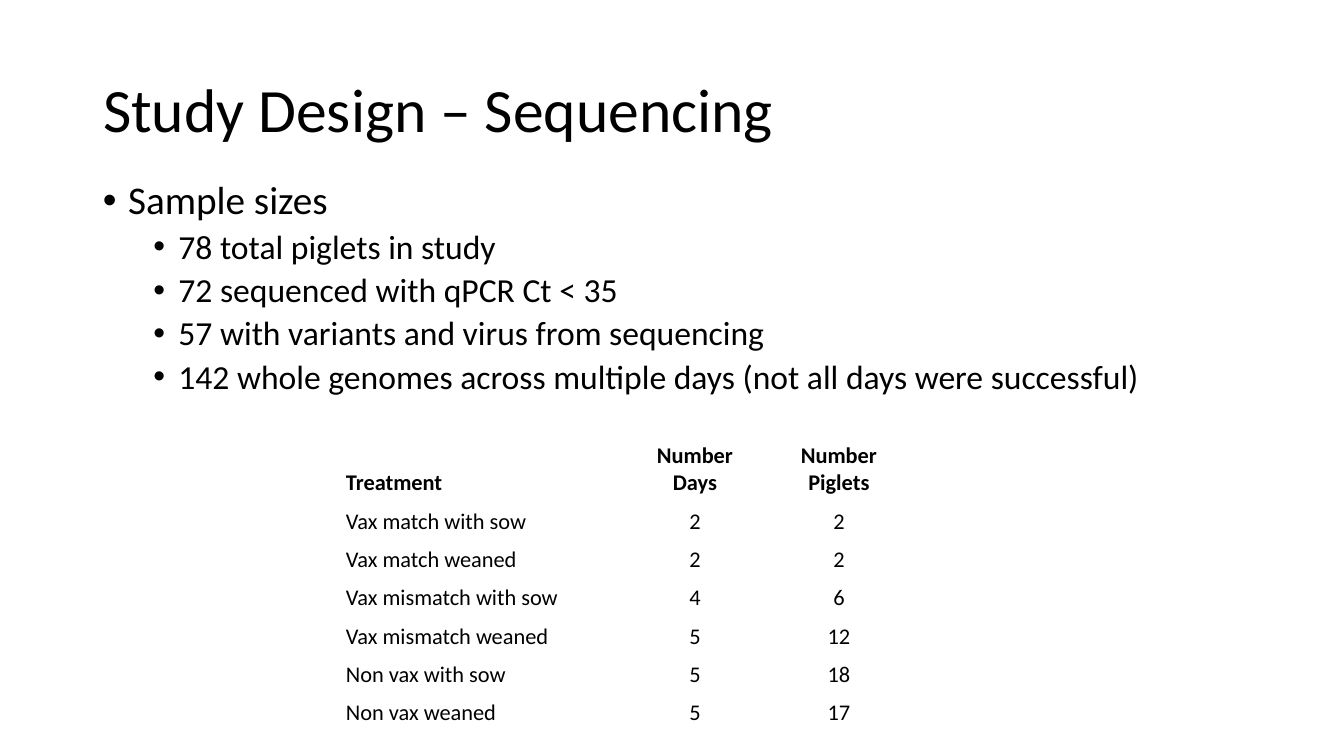
import dataclasses

import lxml.etree
import pptx
import pptx.dml.color
import pptx.enum.text
import pptx.oxml.ns
import pptx.util

PX_PER_INCH = 100.8
TITLE_ONLY = 5
ALIGN = pptx.enum.text.PP_ALIGN
ANCHOR = pptx.enum.text.MSO_ANCHOR


@dataclasses.dataclass(frozen=True)
class Theme:
    font: str = "Calibri"
    bullet_font: str = "Arial"
    ink: str = "000000"
    title_size: int = 44
    bullet_sizes: tuple = (28, 24)
    table_size: int = 16


def px(length):
    return pptx.util.Emu(round(length * 914400 / PX_PER_INCH))


def write_text(paragraph, text, *, theme, size, bold=False, align=ALIGN.LEFT,
               line_spacing=None, space_before=0):
    paragraph.alignment = align
    paragraph.space_before = pptx.util.Pt(space_before)
    if line_spacing:
        paragraph.line_spacing = line_spacing
    run = paragraph.add_run()
    run.text = text
    run.font.name = theme.font
    run.font.size = pptx.util.Pt(size)
    run.font.bold = bold
    run.font.color.rgb = pptx.dml.color.RGBColor.from_string(theme.ink)


def add_bullet(paragraph, level, font):
    paragraph.level = level
    properties = paragraph._p.get_or_add_pPr()
    properties.set("marL", str(pptx.util.Inches(0.25 + 0.5 * level)))
    properties.set("indent", str(pptx.util.Inches(-0.25)))
    for tag, attribute, value in (("a:buFont", "typeface", font), ("a:buChar", "char", "•")):
        mark = lxml.etree.SubElement(properties, pptx.oxml.ns.qn(tag))
        mark.set(attribute, value)


class SlideBuilder:
    def __init__(self, slide, theme):
        self.slide = slide
        self.theme = theme

    def title(self, text, left, top, width, height):
        heading = self.slide.shapes.title
        heading.left, heading.top = px(left), px(top)
        heading.width, heading.height = px(width), px(height)
        frame = heading.text_frame
        frame.auto_size = pptx.enum.text.MSO_AUTO_SIZE.NONE
        frame.vertical_anchor = ANCHOR.MIDDLE
        write_text(frame.paragraphs[0], text, theme=self.theme,
                   size=self.theme.title_size, line_spacing=0.9)

    def bullets(self, points, left, top, width, height):
        box = self.slide.shapes.add_textbox(px(left), px(top), px(width), px(height))
        frame = box.text_frame
        frame.word_wrap = True
        for index, (level, text) in enumerate(points):
            paragraph = frame.add_paragraph() if index else frame.paragraphs[0]
            add_bullet(paragraph, level, self.theme.bullet_font)
            write_text(paragraph, text, theme=self.theme, size=self.theme.bullet_sizes[level],
                       line_spacing=0.9, space_before=5 if index else 0)

    def table(self, rows, left, top, column_widths, header_height, height):
        grid = self.slide.shapes.add_table(
            len(rows), len(column_widths), px(left), px(top),
            px(sum(column_widths)), px(height)).table
        grid.horz_banding = False
        for column, width in zip(grid.columns, column_widths):
            column.width = px(width)
        row_height = px((height - header_height) / (len(rows) - 1))
        for row_index, values in enumerate(rows):
            grid.rows[row_index].height = row_height if row_index else px(header_height)
            for column_index, value in enumerate(values):
                self.cell(grid.cell(row_index, column_index), value, bold=row_index == 0,
                          align=ALIGN.CENTER if column_index else ALIGN.LEFT)

    def cell(self, cell, value, bold, align):
        cell.fill.background()
        cell.vertical_anchor = ANCHOR.BOTTOM
        cell.margin_left = cell.margin_right = cell.margin_top = px(1)
        cell.margin_bottom = 0
        for index, line in enumerate(str(value).split("\n")):
            paragraph = cell.text_frame.add_paragraph() if index else cell.text_frame.paragraphs[0]
            write_text(paragraph, line, theme=self.theme, size=self.theme.table_size,
                       bold=bold, align=align)


SAMPLE_SIZES = [
    (0, "Sample sizes"),
    (1, "78 total piglets in study"),
    (1, "72 sequenced with qPCR Ct < 35"),
    (1, "57 with variants and virus from sequencing"),
    (1, "142 whole genomes across multiple days (not all days were successful)"),
]

TREATMENTS = [
    ("Treatment", "Number\nDays", "Number Piglets"),
    ("Vax match with sow", 2, 2),
    ("Vax match weaned", 2, 2),
    ("Vax mismatch with sow", 4, 6),
    ("Vax mismatch weaned", 5, 12),
    ("Non vax with sow", 5, 18),
    ("Non vax weaned", 5, 17),
]


def main():
    deck = pptx.Presentation()
    deck.slide_width, deck.slide_height = px(1344), px(756)
    slide = deck.slides.add_slide(deck.slide_layouts[TITLE_ONLY])
    study = SlideBuilder(slide, Theme())
    study.title("Study Design – Sequencing", 93, 40, 1159, 146)
    study.bullets(SAMPLE_SIZES, 93, 176, 1175, 226)
    study.table(TREATMENTS, 345, 427, (278, 144, 144), header_height=70, height=300)
    deck.save("out.pptx")


if __name__ == "__main__":
    main()
